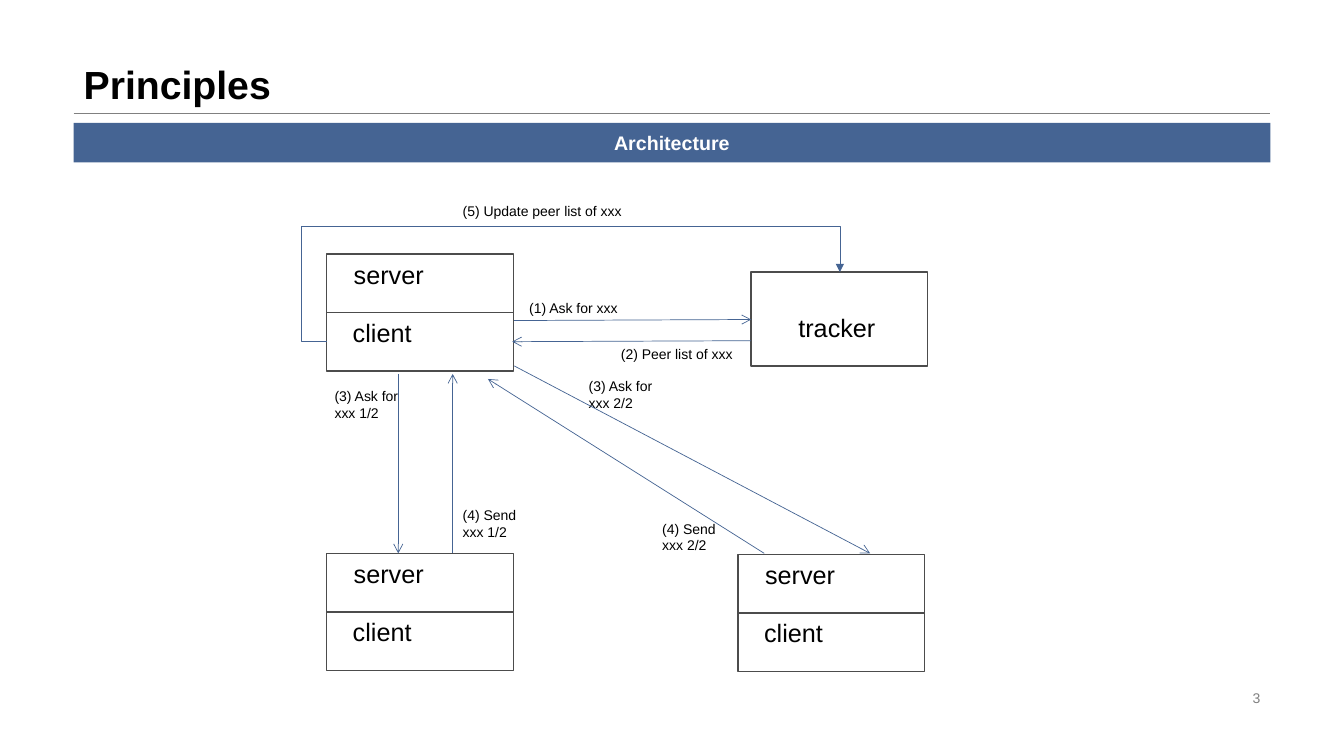
"""Build the Principles slide: the architecture of peers and their tracker."""
import lxml.etree
import pptx
import pptx.dml.color
import pptx.enum.shapes
import pptx.enum.text
import pptx.oxml
import pptx.oxml.ns
import pptx.util

PX = 9144
COLOURS = {
    "text": "000000",
    "paper": "FFFFFF",
    "accent": "456493",
    "outline": "4C4C4C",
    "grey": "808080",
}
SHAPES = pptx.enum.shapes.MSO_SHAPE
CONNECTORS = pptx.enum.shapes.MSO_CONNECTOR
ANCHORS = pptx.enum.text.MSO_ANCHOR
ALIGNMENTS = pptx.enum.text.PP_ALIGN
qn = pptx.oxml.ns.qn

deck = pptx.Presentation()
deck.slide_width = 1333 * PX
deck.slide_height = 750 * PX
page = deck.slides.add_slide(deck.slide_layouts[5])


def write(text, place, shape=None, size=10, colour="text", bold=False,
          align=ALIGNMENTS.LEFT, anchor=ANCHORS.TOP, spacing=1.0):
    """Write text into a shape, or into a new text box at the place."""
    left, top, width, height = (value * PX for value in place)
    box = shape or page.shapes.add_textbox(left, top, width, height)
    box.left, box.top, box.width, box.height = left, top, width, height
    frame = box.text_frame
    frame.word_wrap = True
    frame.auto_size = pptx.enum.text.MSO_AUTO_SIZE.NONE
    frame.vertical_anchor = anchor
    para = frame.paragraphs[0]
    para.alignment = align
    para.line_spacing = spacing
    span = para.add_run()
    span.text = text
    span.font.name = "Arial"
    span.font.size = pptx.util.Pt(size)
    span.font.bold = bold
    span.font.color.rgb = pptx.dml.color.RGBColor.from_string(COLOURS[colour])


def connect(start, end, kind=CONNECTORS.STRAIGHT, colour="accent", width=0.5, head=None):
    """Draw a connector from start to end, with an optional arrowhead."""
    line = page.shapes.add_connector(kind, *(value * PX for value in start + end))
    line.line.width = pptx.util.Pt(width)
    line.line.color.rgb = pptx.dml.color.RGBColor.from_string(COLOURS[colour])
    if head:
        lxml.etree.SubElement(line.line._get_or_add_ln(), qn("a:tailEnd"), type=head)
    lxml.etree.SubElement(line._element.spPr, qn("a:effectLst"))
    return line


connect((73, 112), (1260, 112), colour="grey", width=0.25)
write("Principles", (73, 0, 1187, 112), shape=page.shapes.title, size=28, bold=True,
      anchor=ANCHORS.BOTTOM, spacing=0.9)
write("3", (942, 681, 318, 23), colour="grey", align=ALIGNMENTS.RIGHT,
      anchor=ANCHORS.MIDDLE)

banner = page.shapes.add_shape(SHAPES.RECTANGLE, 0, 0, PX, PX)
banner.shadow.inherit = False
banner.fill.solid()
banner.fill.fore_color.rgb = pptx.dml.color.RGBColor.from_string(COLOURS["accent"])
banner.line.fill.background()
write("Architecture", (73, 122, 1187, 39), shape=banner, size=14, colour="paper",
      bold=True, align=ALIGNMENTS.CENTER, anchor=ANCHORS.MIDDLE)

nodes = []
for left, top in [(324, 252), (732, 550), (324, 549)]:
    nodes.append(("server", (left, top, 185, 58), (left + 17, top, 158, 40)))
    nodes.append(("client", (left, top + 58, 185, 58), (left + 16, top + 58, 159, 40)))
nodes.append(("tracker", (745, 270, 175, 93), (782, 305, 125, 40)))
for name, outline, label in nodes:
    node = page.shapes.add_shape(SHAPES.FLOWCHART_PROCESS, *(value * PX for value in outline))
    node.shadow.inherit = False
    node.fill.solid()
    node.fill.fore_color.rgb = pptx.dml.color.RGBColor.from_string(COLOURS["paper"])
    node.line.color.rgb = pptx.dml.color.RGBColor.from_string(COLOURS["outline"])
    node.line.width = pptx.util.Pt(1)
    write(name, label, size=18)

messages = [
    ("(1) Ask for xxx", (515, 292, 123, 27)),
    ("(2) Peer list of xxx", (606, 338, 137, 27)),
    ("(3) Ask for xxx 1/2", (322, 380, 97, 44)),
    ("(4) Send xxx 1/2", (449, 498, 97, 44)),
    ("(3) Ask for xxx 2/2", (574, 370, 97, 44)),
    ("(4) Send xxx 2/2", (647, 511, 97, 44)),
    ("(5) Update peer list of xxx", (449, 196, 189, 44)),
]
for message, place in messages:
    write(message, place)

arrows = [
    ((510, 318), (745, 317)),
    ((745, 338), (508, 339)),
    ((395, 371), (395, 549)),
    ((510, 363), (863, 549)),
    ((449, 549), (449, 371)),
    ((758, 549), (484, 376)),
]
for start, end in arrows:
    connect(start, end, head="arrow")

update = connect((324, 339), (833, 270), kind=CONNECTORS.ELBOW, head="triangle")
geometry = update._element.spPr.find(qn("a:prstGeom"))
geometry.set("prst", "bentConnector4")
bends = geometry.find(qn("a:avLst"))
for name, value in [("adj1", -4900), ("adj2", 165700)]:
    lxml.etree.SubElement(bends, qn("a:gd"), name=name, fmla=f"val {value}")

deck.save("out.pptx")
